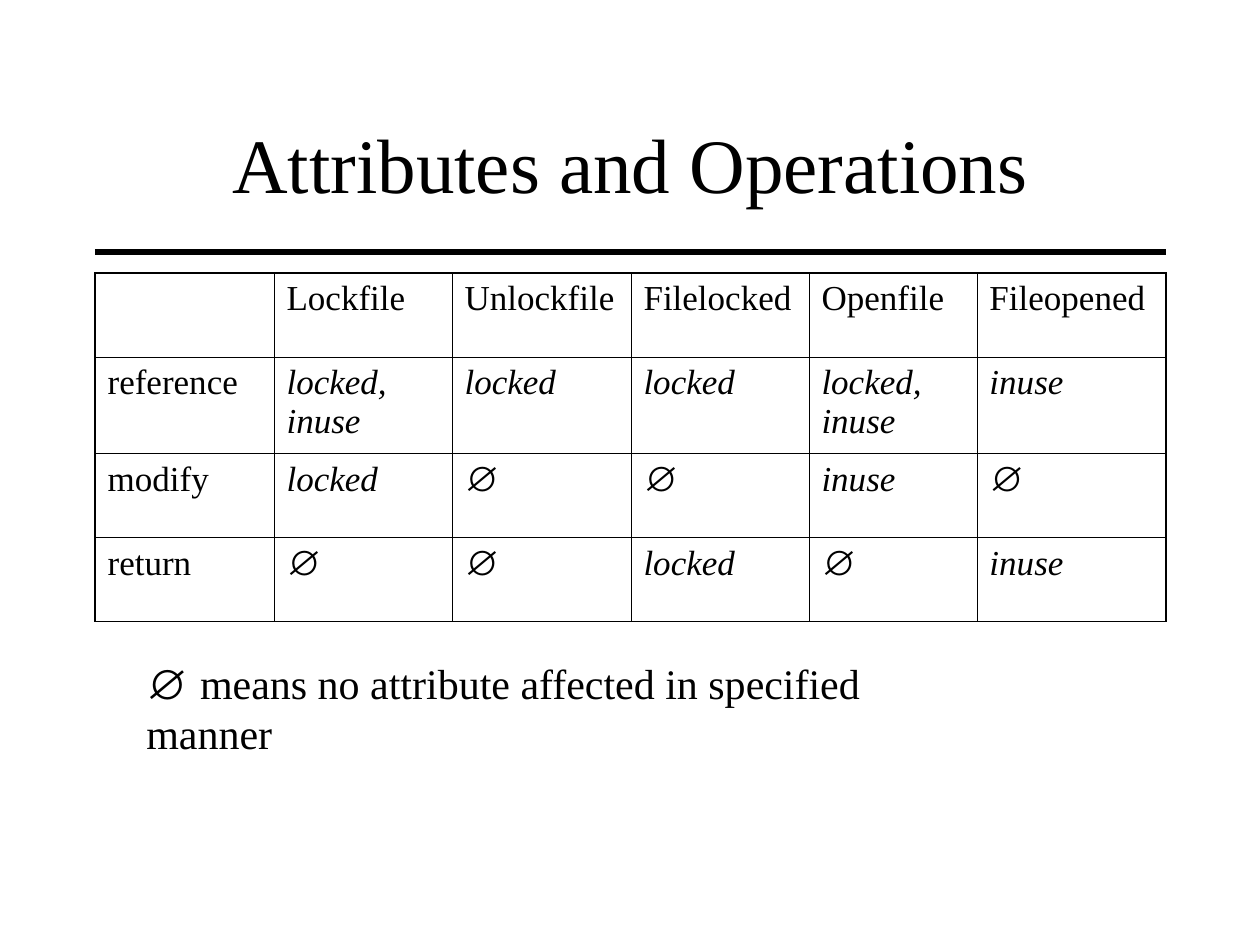
from pptx import Presentation
from pptx.util import Pt
from pptx.dml.color import RGBColor as Rgb
from pptx.enum.shapes import MSO_CONNECTOR as Conn
from pptx.enum.text import PP_ALIGN as Align, MSO_ANCHOR as Anchor
from pptx.oxml.ns import qn
from lxml.etree import SubElement as Sub

NONE = "∅"
TITLE = "Attributes and Operations"
NOTE = [NONE + " ", "means no attribute affected in specified manner"]
ROWS = [
    ["", "Lockfile", "Unlockfile", "Filelocked", "Openfile", "Fileopened"],
    ["reference", "locked, inuse", "locked", "locked", "locked, inuse", "inuse"],
    ["modify", "locked", NONE, NONE, "inuse", NONE],
    ["return", NONE, NONE, "locked", NONE, "inuse"],
]
WIDTHS = [179, 178, 179, 178, 168, 189]
HEIGHTS = [84, 96, 84, 84]
THEME = {
    "ink": "000000", "serif": "Times New Roman", "sans": "Arial",
    "title": 44, "cell": 20, "note": 24,
    "rule": 3, "outer": 1.08, "inner": 0.45,
}
SCALE = 914400 // 126
INK = Rgb.from_string(THEME["ink"])


def px(n):
    return round(n * 914400 / 126)


def style(run, size, italic=False):
    font = run.font
    font.size = Pt(THEME[size])
    font.name = THEME["sans" if NONE in run.text else "serif"]
    font.italic = italic
    font.color.rgb = INK


def add_text(slide, box, parts, size):
    frame = slide.shapes.add_textbox(*map(px, box)).text_frame
    frame.word_wrap = True
    para = frame.paragraphs[0]
    for part in parts:
        run = para.add_run()
        run.text = part
        style(run, size)
    return frame


def border(cell, edges):
    props = cell._tc.get_or_add_tcPr()
    spot = 0
    for side, outer in edges:
        line = Sub(props, qn("a:ln" + side))
        line.set("w", str(Pt(THEME["outer" if outer else "inner"])))
        fill = Sub(line, qn("a:solidFill"))
        Sub(fill, qn("a:srgbClr")).set("val", THEME["ink"])
        props.insert(spot, line)
        spot += 1


def add_grid(slide, left, top):
    rows, cols = len(ROWS), len(WIDTHS)
    size = px(sum(WIDTHS)), px(sum(HEIGHTS))
    grid = slide.shapes.add_table(rows, cols, px(left), px(top), *size).table
    grid.first_row = grid.horz_banding = False
    for col, width in zip(grid.columns, WIDTHS):
        col.width = px(width)
    for r, (row, texts) in enumerate(zip(grid.rows, ROWS)):
        row.height = px(HEIGHTS[r])
        for c, (cell, text) in enumerate(zip(row.cells, texts)):
            cell.text_frame.text = text
            cell.fill.background()
            para = cell.text_frame.paragraphs[0]
            para.space_before = Pt(5)
            for run in para.runs:
                style(run, "cell", r > 0 and c > 0 and text != NONE)
            border(cell, [("L", c == 0), ("R", c == cols - 1),
                          ("T", r == 0), ("B", r == rows - 1)])


deck = Presentation()
deck.slide_width, deck.slide_height = px(1260), px(945)
slide = deck.slides.add_slide(deck.slide_layouts[6])

rule = slide.shapes.add_connector(
    Conn.STRAIGHT, px(95), px(252), px(1166), px(252))
rule.line.color.rgb = INK
rule.line.width = Pt(THEME["rule"])
Sub(rule._element.spPr, qn("a:effectLst"))

head = add_text(slide, (95, 84, 1071, 158), [TITLE], "title")
head.vertical_anchor = Anchor.MIDDLE
head.paragraphs[0].alignment = Align.CENTER

add_grid(slide, 95, 273)
add_text(slide, (134, 651, 872, 63), NOTE, "note")

deck.save("out.pptx")
